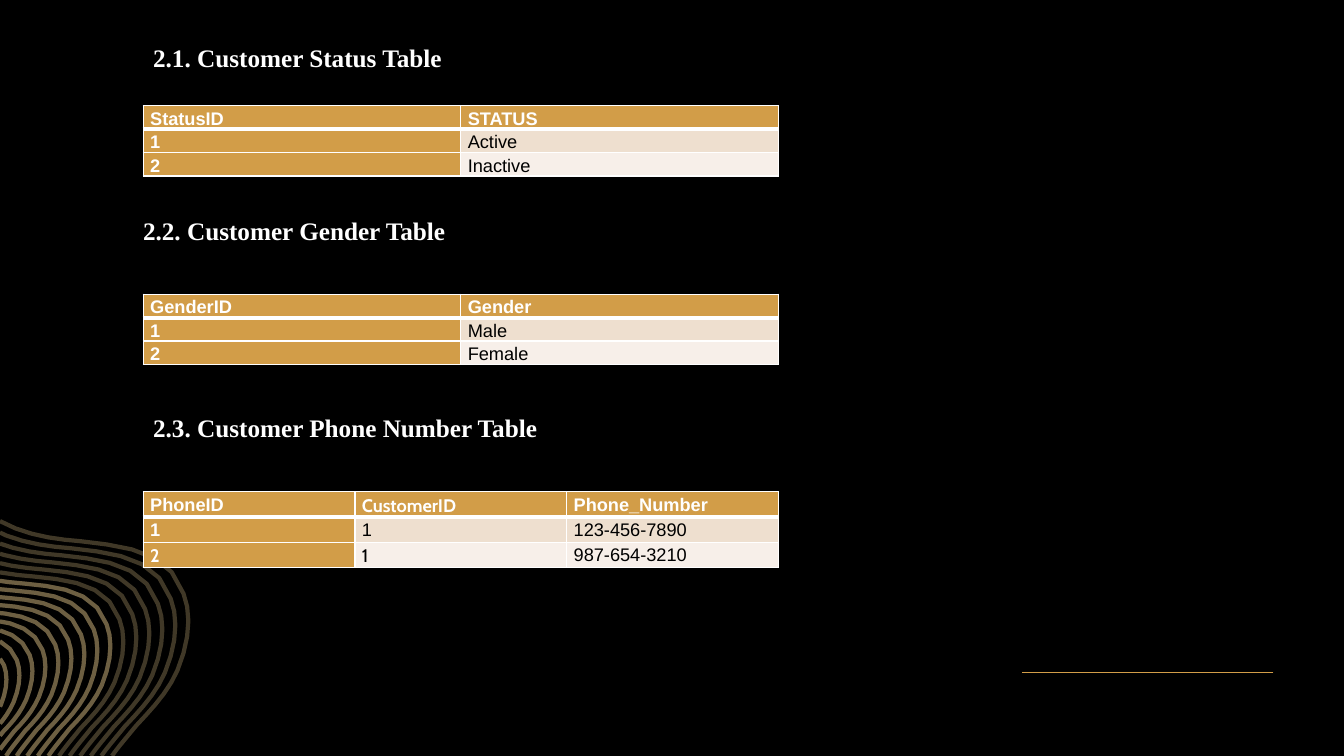
from lxml import etree
from pptx import Presentation
from pptx.dml.color import RGBColor
from pptx.enum.shapes import MSO_CONNECTOR
from pptx.enum.text import MSO_AUTO_SIZE
from pptx.oxml.ns import qn
from pptx.util import Inches, Pt

STRAIGHT = MSO_CONNECTOR.STRAIGHT
GROW = MSO_AUTO_SIZE.SHAPE_TO_FIT_TEXT

BLACK, WHITE, GOLD, SAND = "000000", "FFFFFF", "D29D48", "D6BB82"
BANDS = ["EEDFCF", "F7EFE9"]
SLIDE_H = 7.5
LEFT, TABLE_W, ROW_H = 1.42, 6.3, 0.23
RING_COUNT = 15

# Bezier points of the smallest and the largest ring; the others lie evenly between.
SMALLEST_RING = [(-1.3, 6.15), (-1.05, 6.29), (-0.76, 6.33), (-0.5, 6.35),
                 (-0.26, 6.36), (-0.04, 6.4), (0.04, 6.6),
                 (0.08, 6.71), (0.07, 6.84), (0.01, 6.99),
                 (-0.04, 7.1), (-0.1, 7.18), (-0.19, 7.27),
                 (-0.25, 7.35), (-0.31, 7.42), (-0.36, 7.5)]
LARGEST_RING = [(0, 5.17), (0.25, 5.31), (0.54, 5.35), (0.8, 5.37),
                (1.24, 5.42), (1.68, 5.46), (1.82, 5.89),
                (1.9, 6.09), (1.88, 6.36), (1.76, 6.65),
                (1.67, 6.86), (1.51, 7.03), (1.35, 7.2),
                (1.27, 7.3), (1.18, 7.4), (1.11, 7.5)]

STATUS_ROWS = [["StatusID", "STATUS"], ["1", "Active"], ["2", "Inactive"]]
GENDER_ROWS = [["GenderID", "Gender"], ["1", "Male"], ["2", "Female"]]
PHONE_ROWS = [["PhoneID", "CustomerID", "Phone_Number"],
              ["1", "1", "123-456-7890"],
              ["2", "1", "987-654-3210"]]
PHONE_CABIN_CELLS = {(0, 1), (2, 0), (2, 1)}


def rgb(value):
    return RGBColor.from_string(value)


def bezier(ends, t):
    weights = (1 - t) ** 3, 3 * t * (1 - t) ** 2, 3 * t * t * (1 - t), t ** 3
    return tuple(sum(w * p[axis] for w, p in zip(weights, ends)) for axis in (0, 1))


def clip_left(points):
    """Keep the part of a line right of the slide's left edge."""
    kept = [points[0]] if points[0][0] >= 0 else []
    for (x0, y0), (x1, y1) in zip(points, points[1:]):
        if (x0 < 0) != (x1 < 0):
            kept.append((0, y0 - x0 * (y1 - y0) / (x1 - x0)))
        if x1 >= 0:
            kept.append((x1, y1))
    return kept


def ring_points(index, steps=5):
    share = index / (RING_COUNT - 1)
    knots = [(a + (c - a) * share, b + (d - b) * share)
             for (a, b), (c, d) in zip(SMALLEST_RING, LARGEST_RING)]
    points = [bezier(knots[i:i + 4], n / steps)
              for i in range(0, len(knots) - 1, 3) for n in range(steps)]
    return [(Inches(x), Inches(y)) for x, y in clip_left(points + knots[-1:])]


def add_rings(s, count):
    builder = None
    for index in range(count):
        start, *rest = ring_points(index)
        if builder is None:
            builder = s.shapes.build_freeform(*start)
        else:
            builder.move_to(*start)
        builder.add_line_segments(rest, close=False)
    sp = builder.convert_to_shape()
    sp.shadow.inherit = False
    sp.fill.background()
    sp.line.color.rgb = rgb(SAND)
    sp.line.width = Pt(3)
    color = sp._element.spPr.find(f"{qn('a:ln')}//{qn('a:srgbClr')}")
    etree.SubElement(color, qn("a:alpha"), val="30000")


def add_rule(s, x1, x2, y):
    line = s.shapes.add_connector(STRAIGHT, Inches(x1), Inches(y), Inches(x2), Inches(y))
    line.line.color.rgb = rgb(GOLD)
    line.line.width = Pt(0.75)
    etree.SubElement(line._element.spPr, qn("a:effectLst"))


def add_heading(s, text, x, y):
    box = s.shapes.add_textbox(Inches(x), Inches(y), Inches(5.35), Inches(0.4))
    tf = box.text_frame
    tf.word_wrap = True
    tf.auto_size = GROW
    p = tf.paragraphs[0]
    p.text = text
    set_font(p, "Times New Roman", 18, WHITE, True)


def set_font(p, name, size, color, bold):
    p.font.name = name
    p.font.size = Pt(size)
    p.font.bold = bold
    p.font.color.rgb = rgb(color)


def set_borders(cell, bottom):
    """White cell borders, 1 pt but for the bottom one; call before filling."""
    for side, width in (("L", 1), ("R", 1), ("T", 1), ("B", bottom)):
        ln = etree.SubElement(cell._tc.get_or_add_tcPr(), qn(f"a:ln{side}"), w=str(Pt(width)))
        fill = etree.SubElement(ln, qn("a:solidFill"))
        etree.SubElement(fill, qn("a:srgbClr"), val=WHITE)


def format_cell(cell, text, row, col, font):
    is_header = row == 0 or col == 0
    set_borders(cell, 3 if row == 0 else 1)
    cell.fill.solid()
    cell.fill.fore_color.rgb = rgb(GOLD if is_header else BANDS[row - 1])
    cell.margin_left = cell.margin_right = Inches(0.07)
    cell.margin_top = cell.margin_bottom = 0
    p = cell.text_frame.paragraphs[0]
    p.text = text
    p.line_spacing = 1.15
    p.space_after = Pt(3.6)
    set_font(p, font, 13, WHITE if is_header else BLACK, is_header)


def add_data_table(s, y, rows, cabin_cells=()):
    cols = len(rows[0])
    table = s.shapes.add_table(len(rows), cols, Inches(LEFT), Inches(y),
                               Inches(TABLE_W), Inches(ROW_H * len(rows))).table
    table.first_col = True
    for r, texts in enumerate(rows):
        for c, text in enumerate(texts):
            font = "Cabin" if (r, c) in cabin_cells else "Arial"
            format_cell(table.cell(r, c), text, r, c, font)


def main():
    prs = Presentation()
    prs.slide_width, prs.slide_height = Inches(13.33), Inches(SLIDE_H)
    s = prs.slides.add_slide(prs.slide_layouts[6])
    s.background.fill.solid()
    s.background.fill.fore_color.rgb = rgb(BLACK)
    add_rule(s, 12.63, 10.14, 6.67)
    add_rings(s, RING_COUNT)
    add_rings(s, 9)
    add_data_table(s, 1.05, STATUS_ROWS)
    add_data_table(s, 2.92, GENDER_ROWS)
    add_heading(s, "2.1. Customer Status Table", LEFT, 0.37)
    add_heading(s, "2.2. Customer Gender Table", 1.32, 2.09)
    add_heading(s, "2.3. Customer Phone Number Table", LEFT, 4.04)
    add_data_table(s, 4.88, PHONE_ROWS, PHONE_CABIN_CELLS)
    prs.save("out.pptx")


if __name__ == "__main__":
    main()
